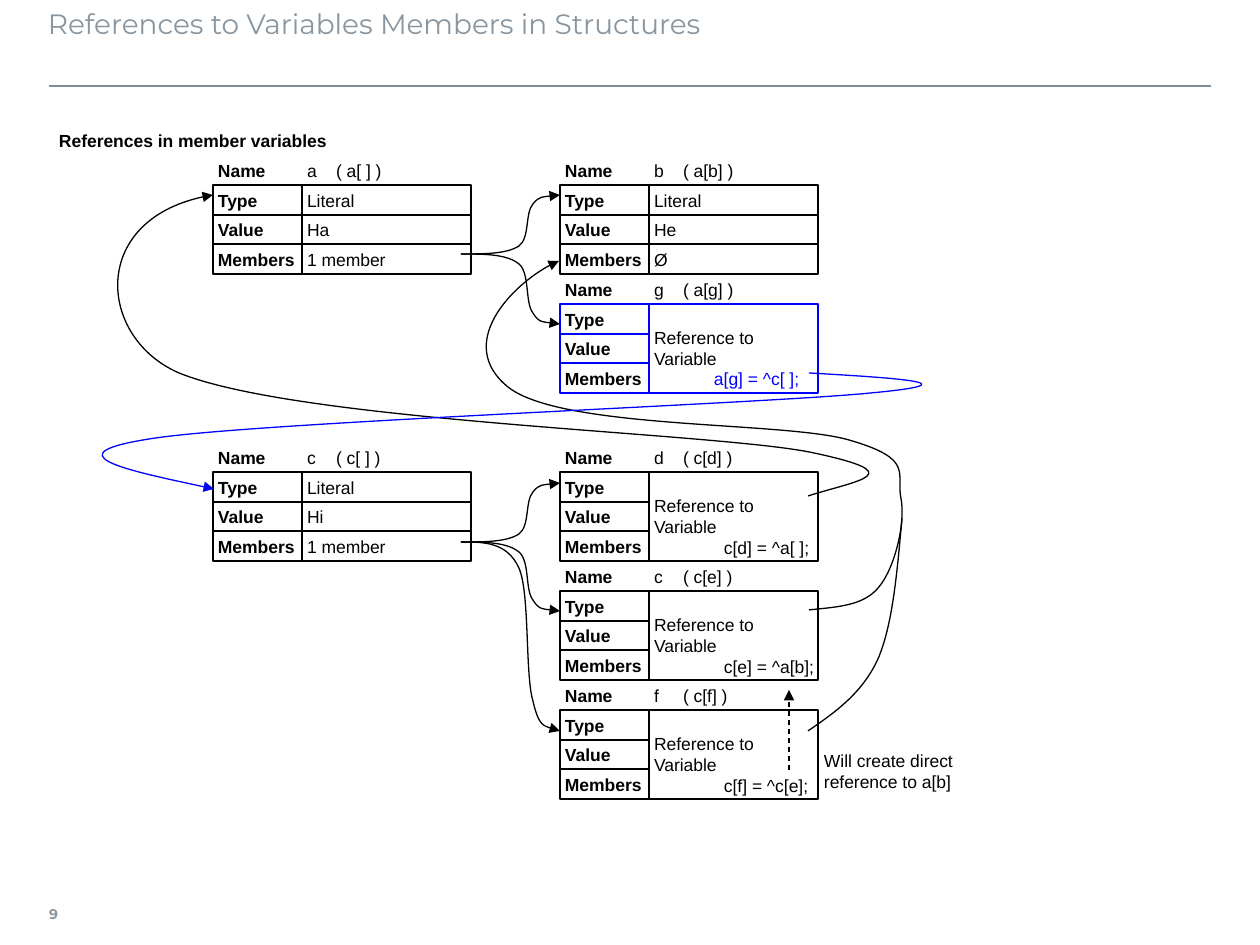
from pptx import Presentation
from pptx.dml.color import RGBColor as RGB
from pptx.enum.dml import MSO_LINE as Dash
from pptx.enum.shapes import MSO_CONNECTOR as Conn, MSO_SHAPE as Geo
from pptx.enum.text import MSO_ANCHOR as Anchor, PP_ALIGN as Align
from pptx.oxml.ns import qn
from pptx.util import Pt
from lxml.etree import SubElement as Sub

SCALE = 914400 / 126
BLACK = RGB(0, 0, 0)
BLUE = RGB(0, 0, 255)
GREY = RGB(0x89, 0x96, 0xA0)
RULE = RGB(0x80, 0x8D, 0x97)
KEY_W, VAL_W, CARD_H = 89, 169, 119
LEFT, RIGHT = 213, 560
TAB = 29
REF = "Reference to\nVariable"


def px(num):
    """Turn px into EMU."""
    return round(num * SCALE)


def write(shape, text, size=10, face="Arial", color=BLACK, bold=False,
          anchor=Anchor.MIDDLE, pad=(5, 5, 5, 5), wrap=False):
    """Put formatted text into a shape, one paragraph a line."""
    frame = shape.text_frame
    frame.word_wrap = wrap
    frame.vertical_anchor = anchor
    (frame.margin_left, frame.margin_top,
     frame.margin_right, frame.margin_bottom) = map(px, pad)
    frame.text = text
    for para in frame.paragraphs:
        para.alignment = Align.LEFT
        if "\t" in para.text:
            tabs = Sub(para._p.get_or_add_pPr(), qn("a:tabLst"))
            Sub(tabs, qn("a:tab"), pos=str(px(TAB)), algn="l")
        font = para.font
        font.size, font.name, font.bold = Pt(size), face, bold
        font.color.rgb = color


def trace(pts, steps=24):
    """List points along a chain of cubic curves."""
    out = [pts[0]]
    for i in range(0, len(pts) - 1, 3):
        for n in range(1, steps + 1):
            t = n / steps
            part = ((1 - t) ** 3, 3 * t * (1 - t) ** 2, 3 * t * t * (1 - t), t ** 3)
            out.append(tuple(round(sum(k * p[d] for k, p in zip(part, pts[i:i + 4])))
                             for d in (0, 1)))
    return out


class Sketch:
    """Hold the line style and the current slide."""

    def __init__(self, slide, width=0.75):
        self.shapes = slide.shapes
        self.width = width

    def pen(self, shape, color, width=None, arrow=False, dash=None):
        """Style the outline of a shape."""
        shape.line.color.rgb = color
        shape.line.width = Pt(width or self.width)
        if dash:
            shape.line.dash_style = dash
        if arrow:
            Sub(shape._element.find(".//" + qn("a:ln")), qn("a:tailEnd"), type="triangle")

    def text(self, x, y, w, h, text, **form):
        """Add a text box."""
        write(self.shapes.add_textbox(*map(px, (x, y, w, h))), text, **form)

    def box(self, x, y, w, h, text, line=BLACK, **form):
        """Add an outlined cell with text."""
        cell = self.shapes.add_shape(Geo.RECTANGLE, *map(px, (x, y, w, h)))
        cell.shadow.inherit = False
        cell.fill.background()
        self.pen(cell, line)
        write(cell, text, **form)

    def line(self, x1, y1, x2, y2, color=BLACK, **style):
        """Add a straight line."""
        link = self.shapes.add_connector(Conn.STRAIGHT, *map(px, (x1, y1, x2, y2)))
        self.pen(link, color, **style)
        Sub(link._element.spPr, qn("a:effectLst"))

    def curve(self, pts, color=BLACK, arrow=True):
        """Add a chain of cubic curves within its tight bounds."""
        mark = trace(pts)
        form = self.shapes.build_freeform(*mark[0], scale=SCALE)
        form.add_line_segments(mark[1:], close=False)
        shape = form.convert_to_shape()
        shape.shadow.inherit = False
        shape.fill.background()
        self.pen(shape, color, arrow=arrow)
        x0, y0 = (min(axis) for axis in zip(*mark))
        route = shape._element.find(".//" + qn("a:path"))
        for part in list(route)[1:]:
            route.remove(part)
        for i in range(1, len(pts), 3):
            bend = Sub(route, qn("a:cubicBezTo"))
            for x, y in pts[i:i + 3]:
                Sub(bend, qn("a:pt"), x=str(x - x0), y=str(y - y0))

    def card(self, x, y, name, vals, line=BLACK):
        """Add a variable card; a single value spans all rows."""
        rows = [y + (CARD_H * i + 2) // 4 for i in range(5)]
        mid = x + KEY_W
        self.text(x, y, KEY_W, rows[1] - y, "Name", bold=True)
        self.text(mid, y, VAL_W, rows[1] - y, name)
        for key, top, end in zip(("Type", "Value", "Members"), rows[1:], rows[2:]):
            self.box(x, top, KEY_W, end - top, key, line, bold=True)
        span = 3 // len(vals)
        for i, val in enumerate(vals):
            top, end = rows[1 + i * span], rows[1 + (i + 1) * span]
            self.box(mid, top, VAL_W, end - top, val, line)

    def fan(self, y, end):
        """Add an S-shaped arrow from a members cell to a card."""
        xs = (461, 484, 507, 519, 530, 525, 533, 539, 551, 560)
        part = (0, 0, 0, .14, .27, .7, .84, .98, .99, 1)
        self.curve([(x, round(y + k * (end - y))) for x, k in zip(xs, part)])


def main():
    """Build the slide."""
    deck = Presentation()
    deck.slide_width, deck.slide_height = px(1260), px(945)
    art = Sketch(deck.slides.add_slide(deck.slide_layouts[6]))

    art.line(49, 86, 1211, 86, RULE, width=1)
    art.text(49, 889, 44, 49, "9", size=8, face="Montserrat", color=GREY,
             bold=True, pad=(0, 6, 10, 6))
    art.text(48, 1, 1160, 79, "References to Variables Members in Structures",
             size=16, face="Montserrat", color=GREY, anchor=Anchor.TOP,
             pad=(0, 6, 13, 6), wrap=True)
    art.text(54, 125, 300, 30, "References in member variables", bold=True)

    for x, y, name, vals, line in (
            (LEFT, 155, "a\t( a[ ] )", ("Literal", "Ha", "1 member"), BLACK),
            (RIGHT, 155, "b\t( a[b] )", ("Literal", "He", "Ø"), BLACK),
            (LEFT, 442, "c\t( c[ ] )", ("Literal", "Hi", "1 member"), BLACK),
            (RIGHT, 442, "d\t( c[d] )", (REF,), BLACK),
            (RIGHT, 561, "c\t( c[e] )", (REF,), BLACK),
            (RIGHT, 680, "f\t( c[f] )", (REF,), BLACK),
            (RIGHT, 274, "g\t( a[g] )", (REF,), BLUE)):
        art.card(x, y, name, vals, line)

    for y, end in ((254, 195), (254, 324), (542, 483), (542, 611), (542, 731)):
        art.fan(y, end)
    art.curve([(808, 496), (858, 480), (915, 474), (809, 452), (704, 432),
               (300, 422), (179, 373), (98, 338), (88, 215), (213, 195)])
    art.curve([(809, 610), (837, 607), (864, 606), (879, 587), (895, 568), (906, 522),
               (901, 498), (896, 473), (915, 459), (849, 440), (784, 421), (562, 430),
               (508, 387), (455, 344), (519, 277), (559, 261)])
    art.curve([(808, 731), (834, 713), (862, 694), (878, 659), (893, 624),
               (897, 572), (902, 519)], arrow=False)
    art.curve([(809, 373), (894, 378), (979, 383), (871, 393), (761, 404),
               (266, 422), (156, 438), (47, 454), (130, 471), (214, 489)], BLUE)

    for x, y, code, color in ((709, 363, "a[g] = ^c[ ];", BLUE),
                              (719, 532, "c[d] = ^a[ ];", BLACK),
                              (719, 651, "c[e] = ^a[b];", BLACK),
                              (719, 770, "c[f] = ^c[e];", BLACK)):
        art.text(x, y, 115, 30, code, color=color)
    art.text(819, 741, 149, 59, "Will create direct\nreference to a[b]")
    art.line(789, 770, 789, 690, arrow=True, dash=Dash.DASH)
    deck.save("out.pptx")


if __name__ == "__main__":
    main()
